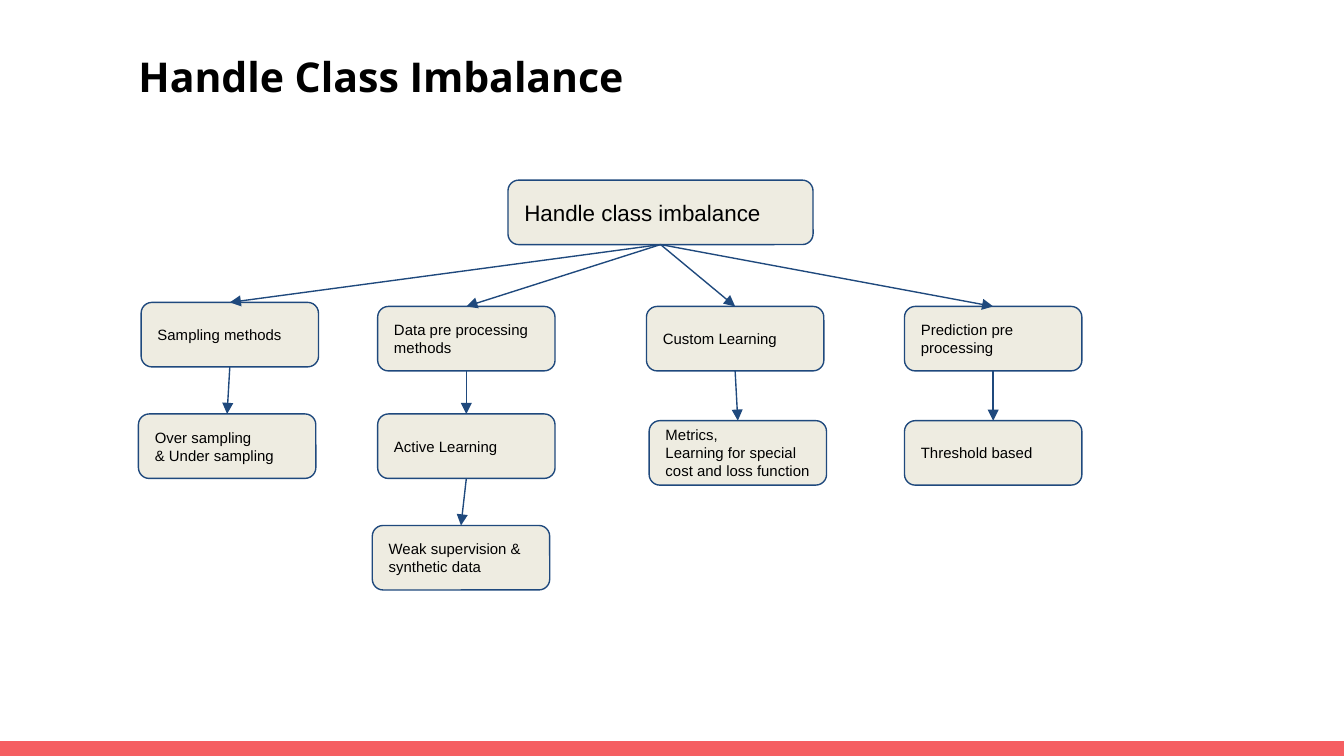
import pptx
import pptx.util
import pptx.dml.color
import pptx.enum.shapes
import pptx.enum.text
import pptx.oxml
import pptx.oxml.ns
from dataclasses import dataclass

COLUMNS, ROWS = 100, 56.25


@dataclass(frozen=True)
class Theme:
    ink: str = "000000"
    node: str = "EEECE1"
    edge: str = "1F497D"
    band: str = "F55E61"
    title_font: str = "Open Sans"
    node_font: str = "Arial"
    title_size: int = 22
    root_size: int = 12
    node_size: int = 8
    edge_width: float = 0.75


@dataclass(frozen=True)
class Box:
    column: float
    row: float
    columns: float
    rows: float

    def inner(self, column, row, columns, rows):
        return Box(self.column + column, self.row + row, columns, rows)

    def emu(self):
        unit = pptx.util.Inches(10) / COLUMNS
        return [round(n * unit) for n in (self.column, self.row, self.columns, self.rows)]


THEME = Theme()
NODE_SPAN = (13.2, 4.8)
ROOT = ("Handle class imbalance", 27.5, 0, 22.7, 4.8)
BRANCHES = [
    [("Sampling methods", 0.2, 9.1), ("Over sampling\n& Under sampling", 0, 17.4)],
    [
        ("Data pre processing methods", 17.8, 9.4),
        ("Active Learning", 17.8, 17.4),
        ("Weak supervision & synthetic data", 17.4, 25.7),
    ],
    [
        ("Custom Learning", 37.8, 9.4),
        ("Metrics,\nLearning for special cost and loss function", 38, 17.9),
    ],
    [("Prediction pre processing", 57, 9.4), ("Threshold based", 57, 17.9)],
]


def color(value):
    return pptx.dml.color.RGBColor.from_string(value)


def set_font(font, name, size, ink, bold=False):
    font.name = name
    font.size = pptx.util.Pt(size)
    font.color.rgb = color(ink)
    font.bold = bold


def set_frame(frame, anchor):
    frame.word_wrap = True
    frame.vertical_anchor = anchor
    frame.margin_left = frame.margin_right = pptx.util.Inches(0.1)
    frame.margin_top = frame.margin_bottom = pptx.util.Inches(0.1)


def add_title(slide, box):
    title = slide.shapes.title
    title.left, title.top, title.width, title.height = box.emu()
    title.text_frame.text = "Handle Class Imbalance"
    set_frame(title.text_frame, pptx.enum.text.MSO_ANCHOR.TOP)
    title.text_frame.auto_size = pptx.enum.text.MSO_AUTO_SIZE.NONE
    heading = title.text_frame.paragraphs[0]
    heading.alignment = pptx.enum.text.PP_ALIGN.LEFT
    set_font(heading.font, THEME.title_font, THEME.title_size, THEME.ink, True)


def add_node(slide, box, label, size):
    node = slide.shapes.add_shape(
        pptx.enum.shapes.MSO_SHAPE.ROUNDED_RECTANGLE, *box.emu())
    node.shadow.inherit = False
    node.fill.solid()
    node.fill.fore_color.rgb = color(THEME.node)
    node.line.color.rgb = color(THEME.edge)
    node.line.width = pptx.util.Pt(THEME.edge_width)
    node.text_frame.text = label
    set_frame(node.text_frame, pptx.enum.text.MSO_ANCHOR.MIDDLE)
    for paragraph in node.text_frame.paragraphs:
        paragraph.alignment = pptx.enum.text.PP_ALIGN.LEFT
        set_font(paragraph.font, THEME.node_font, size, THEME.ink)
    return node


def add_arrow(slide, parent, child):
    arrow = slide.shapes.add_connector(
        pptx.enum.shapes.MSO_CONNECTOR.STRAIGHT, 0, 0, 0, 0)
    arrow.begin_connect(parent, 2)
    arrow.end_connect(child, 0)
    arrow.line.color.rgb = color(THEME.edge)
    arrow.line.width = pptx.util.Pt(THEME.edge_width)
    head = pptx.oxml.parse_xml(
        f'<a:tailEnd {pptx.oxml.ns.nsdecls("a")} type="triangle"/>')
    outline = arrow._element.spPr.find(pptx.oxml.ns.qn("a:ln"))
    outline.append(head)
    arrow._element.spPr.append(
        pptx.oxml.parse_xml(f'<a:effectLst {pptx.oxml.ns.nsdecls("a")}/>'))


def add_tree(slide, box):
    label, *place = ROOT
    root = add_node(slide, box.inner(*place), label, THEME.root_size)
    links = []
    for branch in BRANCHES:
        parent = root
        for label, column, row in branch:
            child = add_node(
                slide, box.inner(column, row, *NODE_SPAN), label, THEME.node_size)
            links.append((parent, child))
            parent = child
    for parent, child in links:
        add_arrow(slide, parent, child)


def add_footer(slide, box):
    band = slide.shapes.add_shape(pptx.enum.shapes.MSO_SHAPE.RECTANGLE, *box.emu())
    band.shadow.inherit = False
    band.fill.solid()
    band.fill.fore_color.rgb = color(THEME.band)
    band.line.fill.background()


def build():
    deck = pptx.Presentation()
    deck.slide_width = pptx.util.Inches(10)
    deck.slide_height = round(deck.slide_width * ROWS / COLUMNS)
    slide = deck.slides.add_slide(deck.slide_layouts.get_by_name("Title Only"))
    add_footer(slide, Box(0, ROWS - 1.1, COLUMNS, 1.1))
    add_tree(slide, Box(10.3, 13.4, 70.2, 30.5))
    add_title(slide, Box(9.3, 2.8, 75.7, 5.7))
    deck.save("out.pptx")


build()
